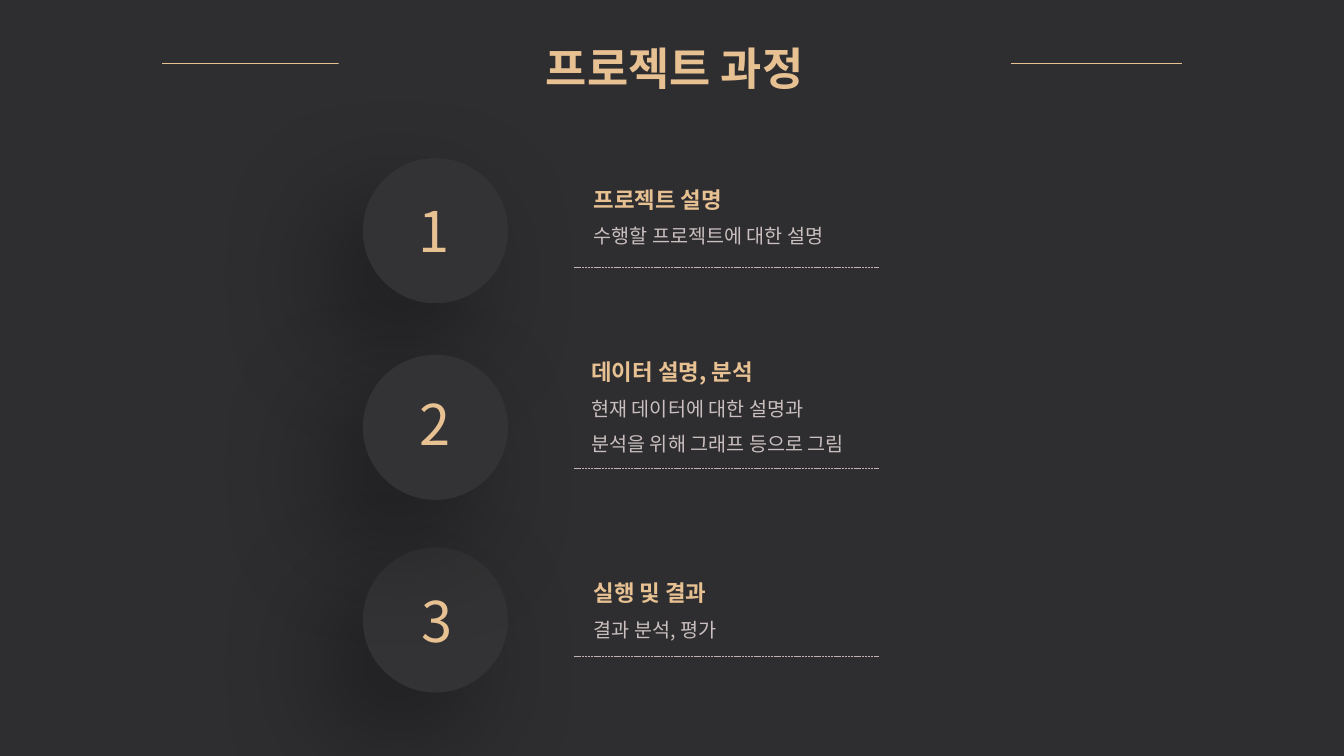
from dataclasses import dataclass

from lxml.etree import SubElement
from pptx import Presentation
from pptx.dml.color import RGBColor
from pptx.enum.dml import MSO_LINE_DASH_STYLE as Dash
from pptx.enum.shapes import MSO_CONNECTOR, MSO_SHAPE
from pptx.enum.text import MSO_ANCHOR, MSO_AUTO_SIZE, PP_ALIGN
from pptx.oxml.ns import qn
from pptx.slide import Slide
from pptx.text.text import TextFrame, _Paragraph as Paragraph
from pptx.util import Pt


@dataclass(frozen=True)
class Theme:
    font: str = "Noto Sans CJK KR"
    background: str = "2E2E31"
    gold: str = "E8C193"
    body: str = "CABFBE"
    divider: str = "BFB2B1"
    circle_start: str = "333234"
    circle_end: str = "313033"
    shadow: str = "000000"
    title_size: float = 32
    number_size: float = 40
    heading_size: float = 16
    body_size: float = 14
    spacing: float = 1.5


@dataclass(frozen=True)
class Step:
    number: str
    heading: str
    lines: tuple[str, ...]
    circle_top: float
    number_left: float
    number_top: float
    text_left: float
    text_top: float
    text_height: float
    divider_y: float


THEME = Theme()
CIRCLE_LEFT, CIRCLE_SIZE = 259.2, 103.7
DIVIDER_LEFT, DIVIDER_RIGHT = 409.7, 627.8
STEPS = (
    Step("1", "프로젝트 설명", ("수행할 프로젝트에 대한 설명",),
         113, 290.2, 136.8, 416.9, 119.5, 58.3, 190.8),
    Step("2", "데이터 설명, 분석", ("현재 데이터에 대한 설명과", "분석을 위해 그래프 등으로 그림"),
         253.4, 290.9, 275, 415.4, 242.6, 84.2, 334.8),
    Step("3", "실행 및 결과", ("결과 분석, 평가",),
         391, 292.3, 415.4, 416.9, 400.3, 58.3, 468.7),
)


def color(value: str) -> RGBColor:
    return RGBColor.from_string(value)


def write(para: Paragraph, lines: tuple[str, ...], size: float, ink: str,
          bold: bool = False, spacing: float = 1.0) -> None:
    """Fill a paragraph, with a line break between lines, and format it."""
    for index, line in enumerate(lines):
        if index:
            para.add_line_break()
        para.add_run().text = line
    para.line_spacing = spacing
    for font in (para.font, *(span.font for span in para.runs)):
        font.name, font.size, font.bold = THEME.font, Pt(size), bold
        font.color.rgb = color(ink)
        SubElement(font._rPr, qn("a:ea"), typeface=THEME.font)


def add_text_frame(page: Slide, left: float, top: float, width: float, height: float) -> TextFrame:
    frame = page.shapes.add_textbox(Pt(left), Pt(top), Pt(width), Pt(height)).text_frame
    frame.word_wrap = True
    frame.auto_size = MSO_AUTO_SIZE.SHAPE_TO_FIT_TEXT
    return frame


def add_rule(page: Slide, left: float, right: float, y: float, ink: str,
             dash: Dash | None = None) -> None:
    rule = page.shapes.add_connector(MSO_CONNECTOR.STRAIGHT, Pt(left), Pt(y), Pt(right), Pt(y))
    rule.line.color.rgb = color(ink)
    rule.line.width = Pt(0.5)
    rule.line.dash_style = dash
    SubElement(rule._element.spPr, qn("a:effectLst"))


def add_circle(page: Slide, step: Step) -> None:
    circle = page.shapes.add_shape(MSO_SHAPE.OVAL, Pt(CIRCLE_LEFT), Pt(step.circle_top),
                                   Pt(CIRCLE_SIZE), Pt(CIRCLE_SIZE))
    circle.line.fill.background()
    circle.fill.gradient()
    circle.fill.gradient_angle = 315
    for stop, ink in zip(circle.fill.gradient_stops, (THEME.circle_start, THEME.circle_end)):
        stop.color.rgb = color(ink)
    # Wide soft shadow towards the lower left
    circle.shadow.inherit = False
    effects = circle._element.spPr.find(qn("a:effectLst"))
    shadow = SubElement(effects, qn("a:outerShdw"), blurRad=str(Pt(87)), dist=str(Pt(41)),
                        dir=str(130 * 60000), algn="ctr", rotWithShape="0")
    ink = SubElement(shadow, qn("a:srgbClr"), val=THEME.shadow)
    SubElement(ink, qn("a:alpha"), val="40000")


def add_title(page: Slide, text: str) -> None:
    title = page.shapes.title
    title.left, title.top, title.width, title.height = Pt(241.9), Pt(10.1), Pt(480.2), Pt(57.6)
    title.fill.solid()
    title.fill.fore_color.rgb = color(THEME.background)
    frame = title.text_frame
    frame.vertical_anchor = MSO_ANCHOR.MIDDLE
    frame.auto_size = MSO_AUTO_SIZE.SHAPE_TO_FIT_TEXT
    para = frame.paragraphs[0]
    para.alignment = PP_ALIGN.CENTER
    write(para, (text,), THEME.title_size, THEME.gold, True, THEME.spacing)
    # The title covers the middle of the rule
    page.shapes._spTree.append(title._element)


def add_step_text(page: Slide, step: Step) -> None:
    number = add_text_frame(page, step.number_left, step.number_top, 39.6, 55.4).paragraphs[0]
    number.alignment = PP_ALIGN.CENTER
    write(number, (step.number,), THEME.number_size, THEME.gold)
    frame = add_text_frame(page, step.text_left, step.text_top, 247, step.text_height)
    write(frame.paragraphs[0], (step.heading,), THEME.heading_size, THEME.gold, True, THEME.spacing)
    write(frame.add_paragraph(), step.lines, THEME.body_size, THEME.body, False, THEME.spacing)


def main() -> None:
    deck = Presentation()
    deck.slide_width, deck.slide_height = Pt(960), Pt(540)
    page = deck.slides.add_slide(deck.slide_layouts[5])
    page.background.fill.solid()
    page.background.fill.fore_color.rgb = color(THEME.background)

    # Circles, the last one at the back
    for step in (STEPS[-1], *STEPS[:-1]):
        add_circle(page, step)

    # Heading
    add_rule(page, 115.9, 844.6, 45.4, THEME.gold)
    add_title(page, "프로젝트 과정")

    # Step numbers, texts and dividers
    for step in STEPS:
        add_rule(page, DIVIDER_LEFT, DIVIDER_RIGHT, step.divider_y, THEME.divider, Dash.SQUARE_DOT)
        add_step_text(page, step)

    deck.save("out.pptx")


if __name__ == "__main__":
    main()
